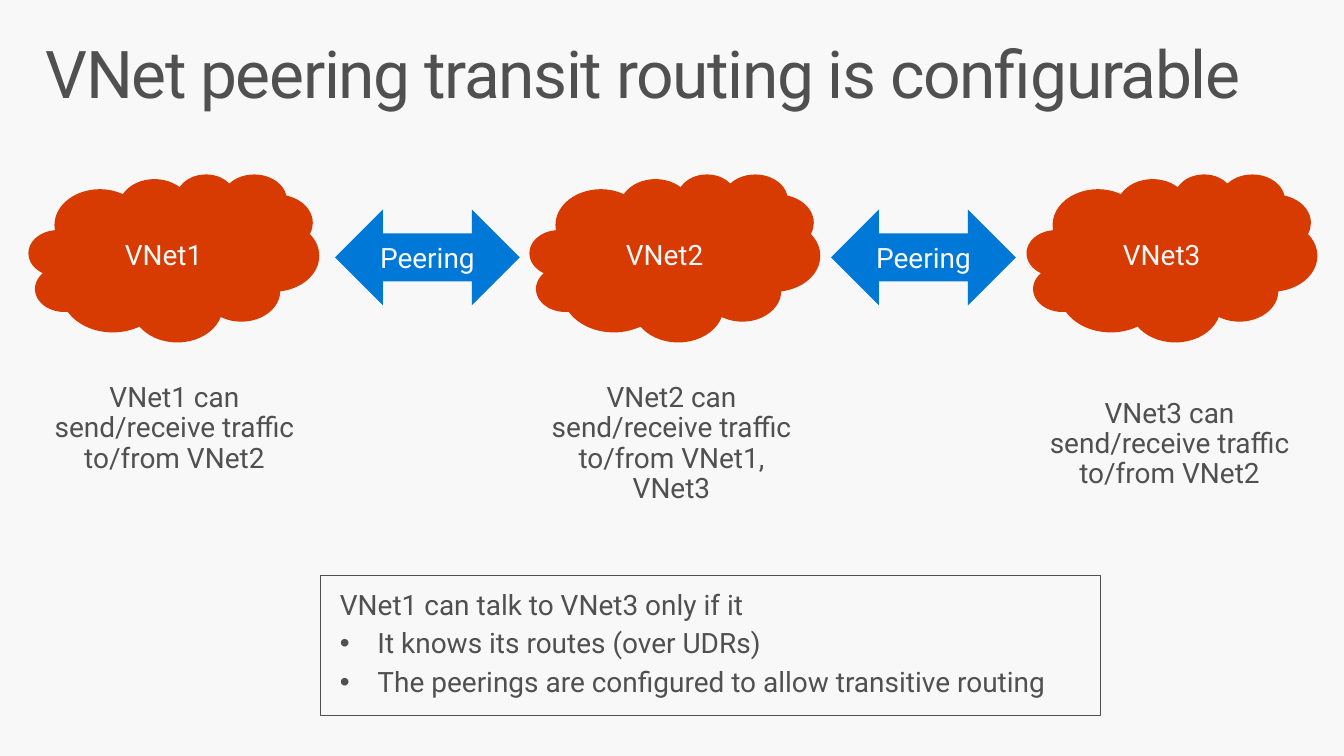
from lxml.etree import SubElement
from pptx import Presentation
from pptx.dml.color import RGBColor
from pptx.enum.shapes import MSO_SHAPE
from pptx.enum.text import MSO_ANCHOR, MSO_AUTO_SIZE, PP_ALIGN
from pptx.oxml.ns import qn
from pptx.util import Emu, Pt

PX = 9144  # 100 px to the inch
FONT = "Roboto"
BODY_SIZE = 20.4
LIGHT = RGBColor(0xF8, 0xF8, 0xF8)
DARK = RGBColor(0x50, 0x50, 0x50)
ORANGE = RGBColor(0xD8, 0x3B, 0x01)
BLUE = RGBColor(0x00, 0x78, 0xD7)

# Cloud name, cloud left, caption left, caption top, reachable networks
NETWORKS = [
    ("VNet1", 29, 30, 372, "VNet2"),
    ("VNet2", 536, 533, 372, "VNet1, VNet3"),
    ("VNet3", 1039, 1037, 388, "VNet2"),
]
PEERING_LEFTS = [339, 841]
CONDITIONS = [
    "It knows its routes (over UDRs)",
    "The peerings are configured to allow transitive routing",
]


def px(*lengths):
    return [Emu(length * PX) for length in lengths]


def set_frame(frame, side, end, anchor=MSO_ANCHOR.TOP):
    frame.word_wrap = True
    frame.vertical_anchor = anchor
    frame.margin_left, frame.margin_right = px(side, side)
    frame.margin_top, frame.margin_bottom = px(end, end)


def add_run(paragraph, text, color=DARK, size=BODY_SIZE):
    run = paragraph.add_run()
    run.text = text
    run.font.name = FONT
    run.font.size = Pt(size)
    run.font.color.rgb = color
    return run


def add_body_text(paragraph, text, alignment=PP_ALIGN.LEFT):
    paragraph.alignment = alignment
    paragraph.line_spacing = 0.9
    paragraph.space_after = Pt(6.1)
    add_run(paragraph, text)


def set_bullet(paragraph, indent):
    properties = paragraph._p.get_or_add_pPr()
    properties.set("marL", str(indent * PX))
    properties.set("indent", str(-indent * PX))
    SubElement(properties, qn("a:buFont"), typeface="Arial")
    SubElement(properties, qn("a:buChar"), char="•")


def set_title(slide, text):
    title = slide.shapes.title
    title.left, title.top, title.width, title.height = px(30, 32, 1300, 100)
    set_frame(title.text_frame, 16, 10)
    title.text_frame.auto_size = MSO_AUTO_SIZE.NONE
    paragraph = title.text_frame.paragraphs[0]
    paragraph.alignment = PP_ALIGN.LEFT
    paragraph.line_spacing = 0.9
    run = add_run(paragraph, text, size=48)
    run._r.get_or_add_rPr().set("spc", "-100")


def add_label_shape(slide, kind, box, fill, text):
    shape = slide.shapes.add_shape(kind, *px(*box))
    shape.shadow.inherit = False
    shape.fill.solid()
    shape.fill.fore_color.rgb = fill
    shape.line.fill.background()
    set_frame(shape.text_frame, 0, 5, MSO_ANCHOR.MIDDLE)
    paragraph = shape.text_frame.paragraphs[0]
    paragraph.alignment = PP_ALIGN.CENTER
    add_run(paragraph, text, LIGHT)


def add_caption(slide, box, text):
    frame = slide.shapes.add_textbox(*px(*box)).text_frame
    set_frame(frame, 20, 16)
    frame.auto_size = MSO_AUTO_SIZE.SHAPE_TO_FIT_TEXT
    add_body_text(frame.paragraphs[0], text, PP_ALIGN.CENTER)


def add_condition_box(slide, box, heading, conditions):
    shape = slide.shapes.add_shape(MSO_SHAPE.RECTANGLE, *px(*box))
    shape.shadow.inherit = False
    shape.fill.background()
    shape.line.color.rgb = DARK
    shape.line.width = Pt(0.75)
    frame = shape.text_frame
    set_frame(frame, 20, 16)
    frame.auto_size = MSO_AUTO_SIZE.SHAPE_TO_FIT_TEXT
    add_body_text(frame.paragraphs[0], heading)
    for condition in conditions:
        paragraph = frame.add_paragraph()
        set_bullet(paragraph, 38)
        add_body_text(paragraph, condition)


def main():
    presentation = Presentation()
    presentation.slide_width, presentation.slide_height = px(1360, 765)
    slide = presentation.slides.add_slide(presentation.slide_layouts[5])
    slide.background.fill.solid()
    slide.background.fill.fore_color.rgb = LIGHT
    set_title(slide, "VNet peering transit routing is configurable")

    # Networks with their captions
    for name, cloud_left, caption_left, caption_top, peers in NETWORKS:
        add_label_shape(slide, MSO_SHAPE.CLOUD, (cloud_left, 176, 294, 170), ORANGE, name)
        height = 159 if "," in peers else 127
        add_caption(slide, (caption_left, caption_top, 293, height),
                    f"{name} can send/receive traffic to/from {peers}")

    # Peerings between neighbours
    for left in PEERING_LEFTS:
        add_label_shape(slide, MSO_SHAPE.LEFT_RIGHT_ARROW, (left, 212, 187, 97), BLUE, "Peering")

    # Conditions for transit
    add_condition_box(slide, (324, 582, 790, 142),
                      "VNet1 can talk to VNet3 only if it", CONDITIONS)
    presentation.save("out.pptx")


if __name__ == "__main__":
    main()
